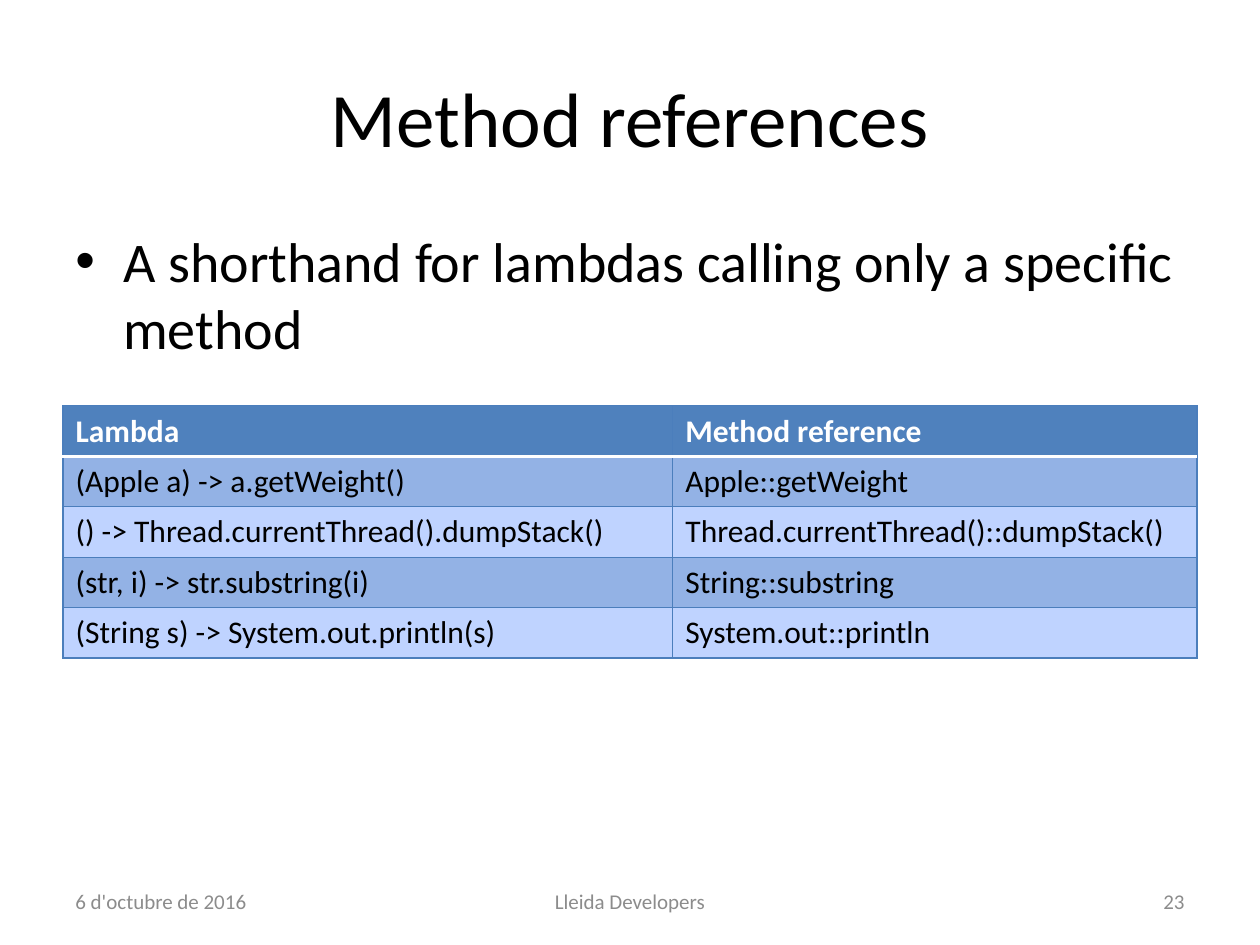
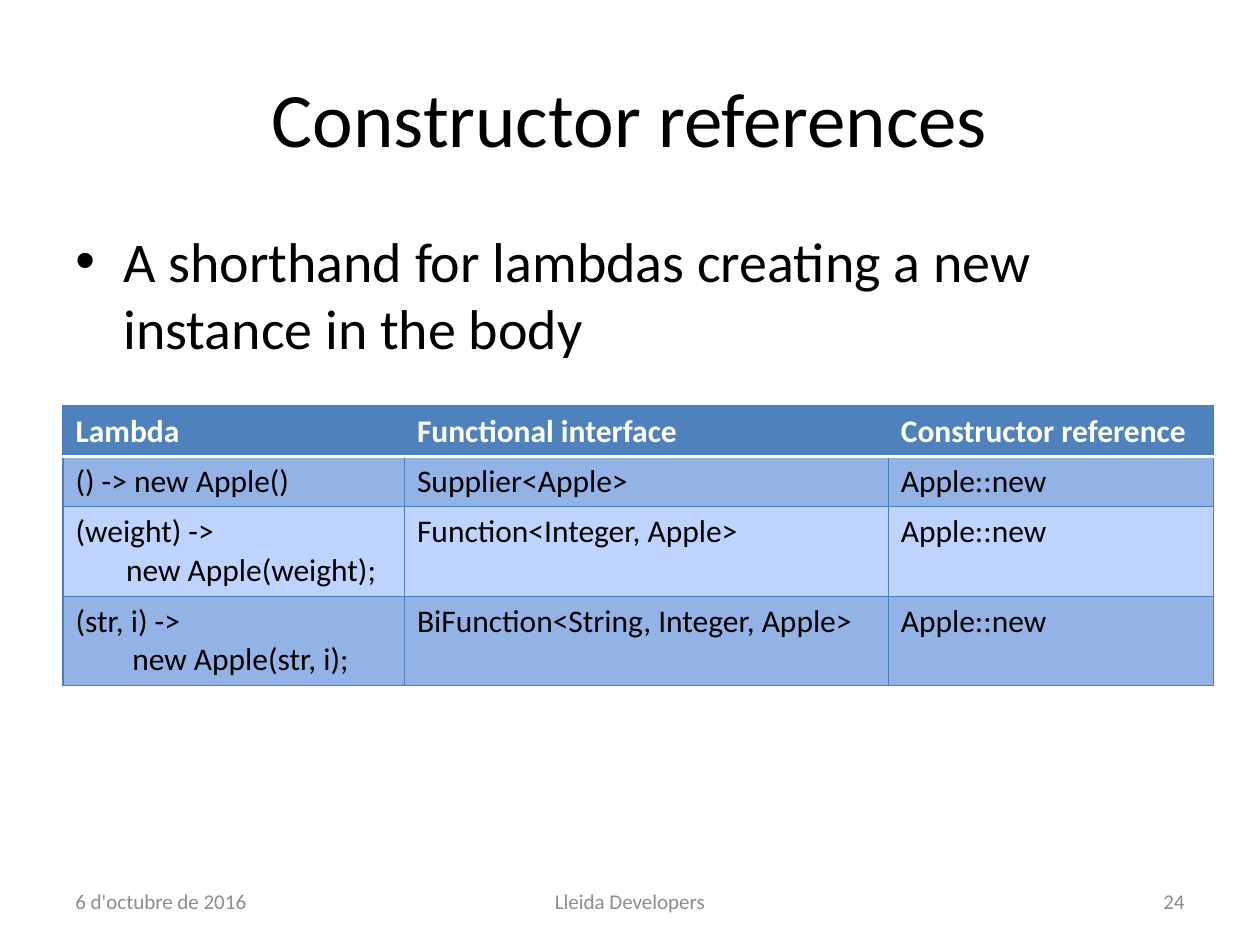
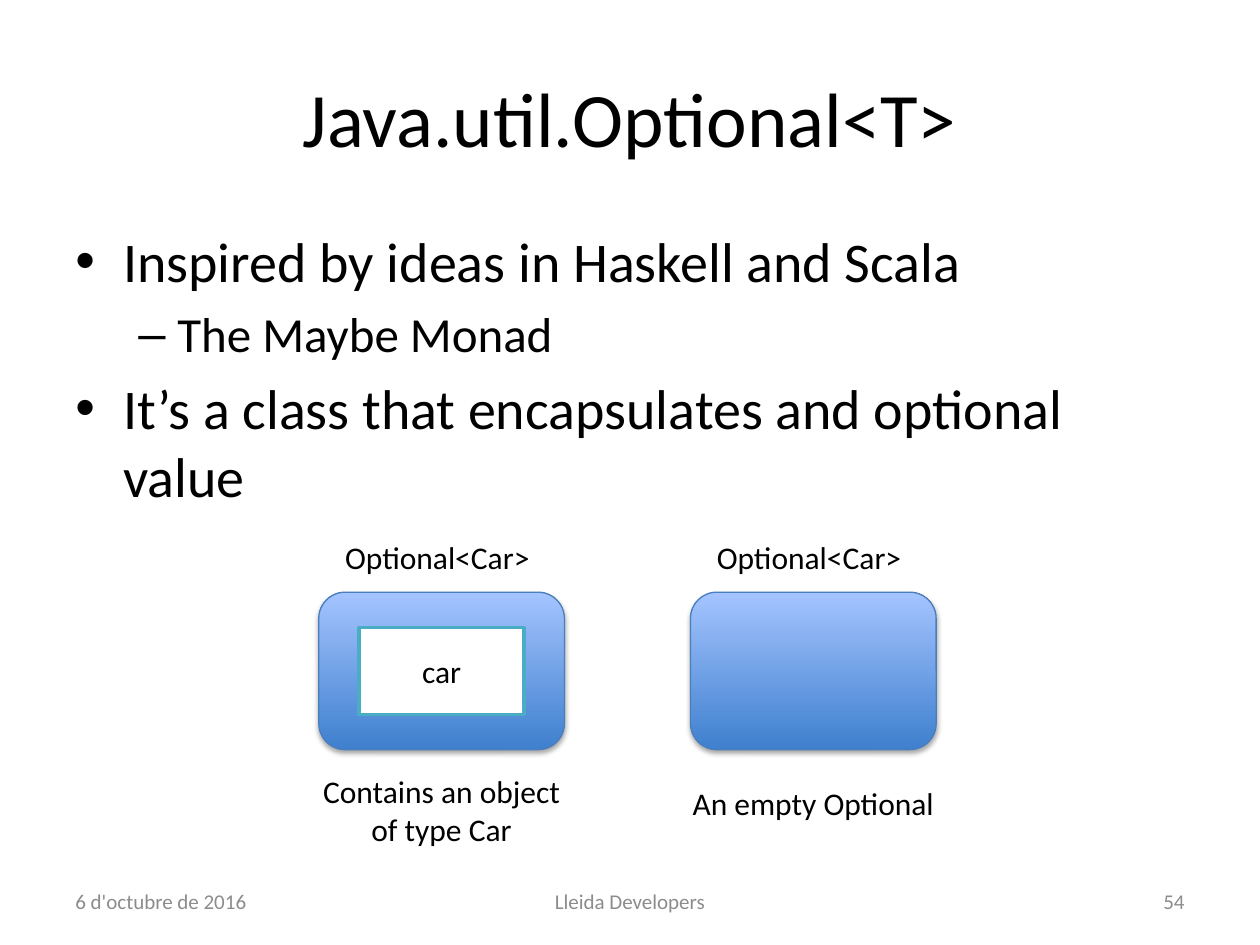
from lxml import etree
from pptx import Presentation
from pptx.dml.color import RGBColor
from pptx.enum.shapes import MSO_SHAPE as Shape
from pptx.enum.text import MSO_ANCHOR as Anchor, PP_ALIGN as Align
from pptx.oxml import parse_xml
from pptx.oxml.ns import nsdecls, qn
from pptx.util import Inches, Pt

# Shared look
FONT = "Calibri"
BLACK = RGBColor(0x00, 0x00, 0x00)
WHITE = RGBColor(0xFF, 0xFF, 0xFF)
GREY = RGBColor(0x8C, 0x8C, 0x8C)
HEADER_BLUE = RGBColor(0x4F, 0x81, 0xBD)
DARK_BAND = RGBColor(0x93, 0xB2, 0xE5)
LIGHT_BAND = RGBColor(0xBF, 0xD3, 0xFF)
LINE_BLUE = RGBColor(0x4B, 0x7E, 0xBC)
GRADIENT = (RGBColor(0x3F, 0x80, 0xCE), RGBColor(0xA4, 0xC4, 0xFF))
AQUA = RGBColor(0x4B, 0xAC, 0xC6)

WIDTH, HEIGHT = 10, 7.5
MARGIN = WIDTH * 0.05
CONTENT = WIDTH - 2 * MARGIN
FOOTER_TOP, FOOTER_HEIGHT = 6.95, 0.4
SIDE_FOOTER, MIDDLE_FOOTER = 2.33, 3.17
TABLE_TOP, ROW, TALL_ROW = 3.22, 0.4, 0.71

# Bullet levels: sign, text size, left indent, hanging indent
LEVELS = [("•", 32, 0.38, 0.38), ("–", 28, 0.81, 0.31)]

PAGES = [
    ("Method references", 23,
     [(0, "A shorthand for lambdas calling only a specific method")]),
    ("Constructor references", 24,
     [(0, "A shorthand for lambdas creating a new instance in the body")]),
    ("Java.util.Optional<T>", 54,
     [(0, "Inspired by ideas in Haskell and Scala"),
      (1, "The Maybe Monad"),
      (0, "It’s a class that encapsulates and optional value")]),
]

# Page index, column widths, rows; a tuple is a two-line cell with its indent
TABLES = [
    (0, [4.84, 4.16], [
        ["Lambda", "Method reference"],
        ["(Apple a) -> a.getWeight()", "Apple::getWeight"],
        ["() -> Thread.currentThread().dumpStack()",
         "Thread.currentThread()::dumpStack()"],
        ["(str, i) -> str.substring(i)", "String::substring"],
        ["(String s) -> System.out.println(s)", "System.out::println"],
    ]),
    (1, [2.71, 3.84, 2.58], [
        ["Lambda", "Functional interface", "Constructor reference"],
        ["() -> new Apple()", "Supplier<Apple>", "Apple::new"],
        [("(weight) ->", "new Apple(weight);", 0.4),
         "Function<Integer, Apple>", "Apple::new"],
        [("(str, i) ->", "new Apple(str, i);", 0.45),
         "BiFunction<String, Integer, Apple>", "Apple::new"],
    ]),
]


def add_text(shapes, at, lines, size=18, color=BLACK, align=Align.LEFT,
             anchor=Anchor.TOP, wrap=True):
    box = shapes.add_textbox(*[Inches(length) for length in at])
    frame = box.text_frame
    frame.word_wrap = wrap
    frame.vertical_anchor = anchor
    para = frame.paragraphs[0]
    para.alignment = align
    for number, line in enumerate(lines):
        if number:
            para.add_line_break()
        span = para.add_run()
        span.text = line
        span.font.name = FONT
        span.font.size = Pt(size)
        span.font.color.rgb = color


def set_border(cell, sides):
    """Draw the four cell borders; sides holds (tag, colour, points)."""
    properties = cell._tc.get_or_add_tcPr()
    for place, (tag, color, points) in enumerate(sides):
        properties.insert(place, parse_xml(
            f'<a:{tag} {nsdecls("a")} w="{Pt(points)}"><a:solidFill>'
            f'<a:srgbClr val="{color}"/></a:solidFill></a:{tag}>'))


deck = Presentation()
deck.slide_width, deck.slide_height = Inches(WIDTH), Inches(HEIGHT)

# Titles, bullets and footers
pages = []
for title, number, bullets in PAGES:
    page = deck.slides.add_slide(deck.slide_layouts[6])
    pages.append(page)
    add_text(page.shapes, (MARGIN, 0.3, CONTENT, 1.25), [title], 44,
             align=Align.CENTER, anchor=Anchor.MIDDLE)

    body = page.shapes.add_textbox(Inches(MARGIN), Inches(1.75),
                                   Inches(CONTENT), Inches(4.95))
    frame = body.text_frame
    frame.word_wrap = True
    for place, (level, text) in enumerate(bullets):
        sign, size, indent, hanging = LEVELS[level]
        para = frame.add_paragraph() if place else frame.paragraphs[0]
        para.level = level
        para.space_before = Pt(size * 0.2)
        properties = para._p.get_or_add_pPr()
        properties.set("marL", str(Inches(indent)))
        properties.set("indent", str(-Inches(hanging)))
        etree.SubElement(properties, qn("a:buFont")).set("typeface", "Arial")
        etree.SubElement(properties, qn("a:buChar")).set("char", sign)
        span = para.add_run()
        span.text = text
        span.font.name = FONT
        span.font.size = Pt(size)
        span.font.color.rgb = BLACK

    footers = [
        (MARGIN, SIDE_FOOTER, "6 d'octubre de 2016", Align.LEFT),
        ((WIDTH - MIDDLE_FOOTER) / 2, MIDDLE_FOOTER, "Lleida Developers",
         Align.CENTER),
        (WIDTH - MARGIN - SIDE_FOOTER, SIDE_FOOTER, str(number), Align.RIGHT),
    ]
    for left, width, text, align in footers:
        add_text(page.shapes, (left, FOOTER_TOP, width, FOOTER_HEIGHT),
                 [text], 12, GREY, align, Anchor.MIDDLE)

# Comparison tables
for index, widths, rows in TABLES:
    heights = [TALL_ROW if isinstance(row[0], tuple) else ROW for row in rows]
    table = pages[index].shapes.add_table(
        len(rows), len(widths), Inches(MARGIN), Inches(TABLE_TOP),
        Inches(sum(widths)), Inches(sum(heights))).table
    for column, width in zip(table.columns, widths):
        column.width = Inches(width)
    for r, row in enumerate(rows):
        table.rows[r].height = Inches(heights[r])
        for c, content in enumerate(row):
            cell = table.cell(r, c)
            cell.fill.solid()
            cell.fill.fore_color.rgb = (
                HEADER_BLUE if r == 0 else DARK_BAND if r % 2 else LIGHT_BAND)
            thin, thick = (LINE_BLUE, 0.75), (WHITE, 2)
            set_border(cell, [("lnL", *thin), ("lnR", *thin),
                              ("lnT", *(thick if r == 1 else thin)),
                              ("lnB", *(thick if r == 0 else thin))])
            lines = [(content, 0)]
            if isinstance(content, tuple):
                lines = [(content[0], 0), (content[1], content[2])]
            for place, (text, indent) in enumerate(lines):
                frame = cell.text_frame
                para = frame.add_paragraph() if place else frame.paragraphs[0]
                if indent:
                    para._p.get_or_add_pPr().set("marL", str(Inches(indent)))
                span = para.add_run()
                span.text = text
                span.font.name = FONT
                span.font.size = Pt(18)
                span.font.bold = r == 0
                span.font.color.rgb = WHITE if r == 0 else BLACK

# Full and empty Optional: caption top, caption, content
FIRST_LEFT, STEP = 2.53, 2.95
BOX_TOP, BOX_WIDTH, BOX_HEIGHT = 4.7, 1.95, 1.25
ITEM_WIDTH, ITEM_HEIGHT = 1.31, 0.69
LABEL_TOP, LABEL_WIDTH, LABEL_HEIGHT = 4.22, 1.69, 0.4
OPTIONALS = [
    (6.08, ["Contains an object", "of type Car"], "car"),
    (6.17, ["An empty Optional"], None),
]
for place, (caption_top, caption, item) in enumerate(OPTIONALS):
    left = FIRST_LEFT + place * STEP
    group = pages[2].shapes.add_group_shape().shapes
    add_text(group, (left + 0.11, LABEL_TOP, LABEL_WIDTH, LABEL_HEIGHT),
             ["Optional<Car>"], wrap=True)

    holder = group.add_shape(Shape.ROUNDED_RECTANGLE, Inches(left),
                             Inches(BOX_TOP), Inches(BOX_WIDTH),
                             Inches(BOX_HEIGHT))
    holder.fill.gradient()
    holder.fill.gradient_angle = 90
    for stop, color in zip(holder.fill.gradient_stops, GRADIENT):
        stop.color.rgb = color
    holder.line.color.rgb = LINE_BLUE
    holder.line.width = Pt(0.75)
    holder._element.spPr.append(parse_xml(
        f'<a:effectLst {nsdecls("a")}><a:outerShdw blurRad="{Pt(3.1)}" '
        f'dist="{Pt(1.8)}" dir="5400000" rotWithShape="0">'
        '<a:srgbClr val="000000"><a:alpha val="35000"/></a:srgbClr>'
        '</a:outerShdw></a:effectLst>'))

    if item:
        value = group.add_shape(
            Shape.RECTANGLE, Inches(left + (BOX_WIDTH - ITEM_WIDTH) / 2),
            Inches(BOX_TOP + (BOX_HEIGHT - ITEM_HEIGHT) / 2),
            Inches(ITEM_WIDTH), Inches(ITEM_HEIGHT))
        value.shadow.inherit = False
        value.fill.solid()
        value.fill.fore_color.rgb = WHITE
        value.line.color.rgb = AQUA
        value.line.width = Pt(2)
        value.text_frame.vertical_anchor = Anchor.MIDDLE
        para = value.text_frame.paragraphs[0]
        para.alignment = Align.CENTER
        span = para.add_run()
        span.text = item
        span.font.name = FONT
        span.font.size = Pt(18)
        span.font.color.rgb = BLACK

    add_text(group, (left - 0.09, caption_top, 2.13, 0.31 * len(caption) + 0.1),
             caption, align=Align.CENTER, wrap=False)

deck.save("out.pptx")
